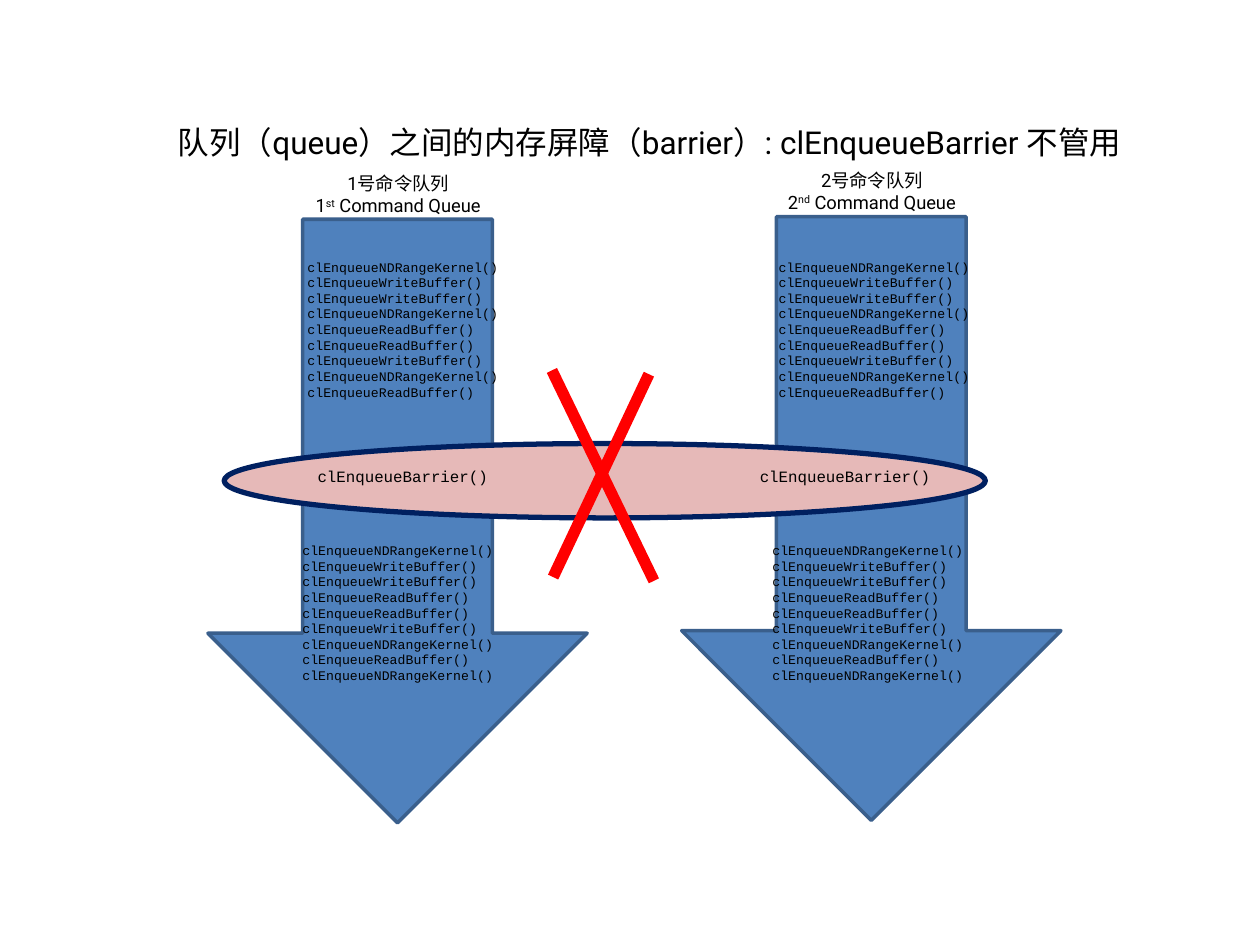
from pptx import Presentation
from pptx.dml.color import RGBColor
from pptx.enum.shapes import MSO_CONNECTOR, MSO_SHAPE
from pptx.enum.text import MSO_ANCHOR, MSO_AUTO_SIZE, PP_ALIGN
from pptx.oxml.ns import qn
from pptx.util import Inches, Pt

LEFT, CENTER = PP_ALIGN.LEFT, PP_ALIGN.CENTER
TOP, MIDDLE = MSO_ANCHOR.TOP, MSO_ANCHOR.MIDDLE
ARROW, OVAL = MSO_SHAPE.DOWN_ARROW, MSO_SHAPE.OVAL
STRAIGHT = MSO_CONNECTOR.STRAIGHT
SANS, MONO = "Roboto", "Courier New"

KERNEL = "clEnqueueNDRangeKernel()"
WRITE = "clEnqueueWriteBuffer()"
READ = "clEnqueueReadBuffer()"
BEFORE = [KERNEL, WRITE, WRITE, KERNEL, READ, READ, WRITE, KERNEL, READ]
AFTER = [KERNEL, WRITE, WRITE, READ, READ, WRITE, KERNEL, f"{READ} {KERNEL}"]


def color(code):
    return RGBColor.from_string(code)


def write(box, lines, size, font=MONO, align=LEFT, anchor=TOP, wrap=True, space=0.99):
    """Fill a box with one paragraph per line; text between ^ marks is raised."""
    frame = box.text_frame
    frame.word_wrap = wrap
    frame.auto_size = MSO_AUTO_SIZE.NONE
    frame.vertical_anchor = anchor
    frame.margin_left = frame.margin_right = Inches(0.07)
    frame.margin_top = frame.margin_bottom = Inches(0.04)
    for i, line in enumerate(lines):
        para = frame.add_paragraph() if i else frame.paragraphs[0]
        para.alignment = align
        para.line_spacing = space
        para.space_before = Pt(0)
        for j, part in enumerate(line.split("^")):
            run = para.add_run()
            run.text = part
            run.font.size = Pt(size)
            run.font.name = font
            run.font.color.rgb = color("000000")
            if j % 2:
                run._r.get_or_add_rPr().set("baseline", "30000")


deck = Presentation()
deck.slide_width, deck.slide_height = Inches(10), Inches(7.5)
slide = deck.slides.add_slide(deck.slide_layouts[5])
shapes = slide.shapes

title = shapes.title
title.left, title.top = Inches(1.05), Inches(0.66)
title.width, title.height = Inches(8.21), Inches(0.94)
write(title, ["队列（queue）之间的内存屏障（barrier）: clEnqueueBarrier 不管用"], 18,
      font=SANS, align=CENTER, anchor=MIDDLE, space=1.0)

# Queue arrows, with the barrier across them
for kind, x, y, w, h, fill, edge, weight in [
    (ARROW, 1.65, 1.74, 3.01, 4.79, "4F81BD", "3A5F8C", 2),
    (ARROW, 5.41, 1.72, 3.01, 4.79, "4F81BD", "3A5F8C", 2),
    (OVAL, 1.78, 3.52, 6.04, 0.59, "E6B9B8", "002060", 3),
]:
    shape = shapes.add_shape(kind, Inches(x), Inches(y), Inches(w), Inches(h))
    shape.shadow.inherit = False
    shape.fill.solid()
    shape.fill.fore_color.rgb = color(fill)
    shape.line.color.rgb = color(edge)
    shape.line.width = Pt(weight)

# Queue headings
for x, y, w, lines in [
    (2.13, 1.33, 2.06, ["1号命令队列", "1^st^ Command Queue"]),
    (5.87, 1.3, 2.1, ["2号命令队列", "2^nd^ Command Queue"]),
]:
    head = shapes.add_textbox(Inches(x), Inches(y), Inches(w), Inches(0.3))
    write(head, lines, 10.5, font=SANS, align=CENTER, wrap=False, space=1.0)

# Commands before, at and after the barrier
for x, y, w, h, lines, size in [
    (2.37, 2.02, 1.67, 1.18, BEFORE, 7.5),
    (6.11, 2.02, 1.67, 1.18, BEFORE, 7.5),
    (2.45, 3.67, 1.68, 0.22, ["clEnqueueBarrier()"], 9),
    (5.96, 3.67, 1.52, 0.22, ["clEnqueueBarrier()"], 9),
    (2.33, 4.27, 1.67, 1.18, AFTER, 7.5),
    (6.06, 4.27, 1.71, 1.18, AFTER, 7.5),
]:
    calls = shapes.add_textbox(Inches(x), Inches(y), Inches(w), Inches(h))
    write(calls, lines, size)

# Red cross
for ends in [(4.39, 4.58, 5.15, 2.97), (5.19, 4.61, 4.38, 2.94)]:
    stroke = shapes.add_connector(STRAIGHT, *[Inches(v) for v in ends])
    stroke.line.color.rgb = color("FF0000")
    stroke.line.width = Pt(6.5)
    props = stroke._element.spPr
    props.append(props.makeelement(qn("a:effectLst"), {}))

deck.save("out.pptx")
